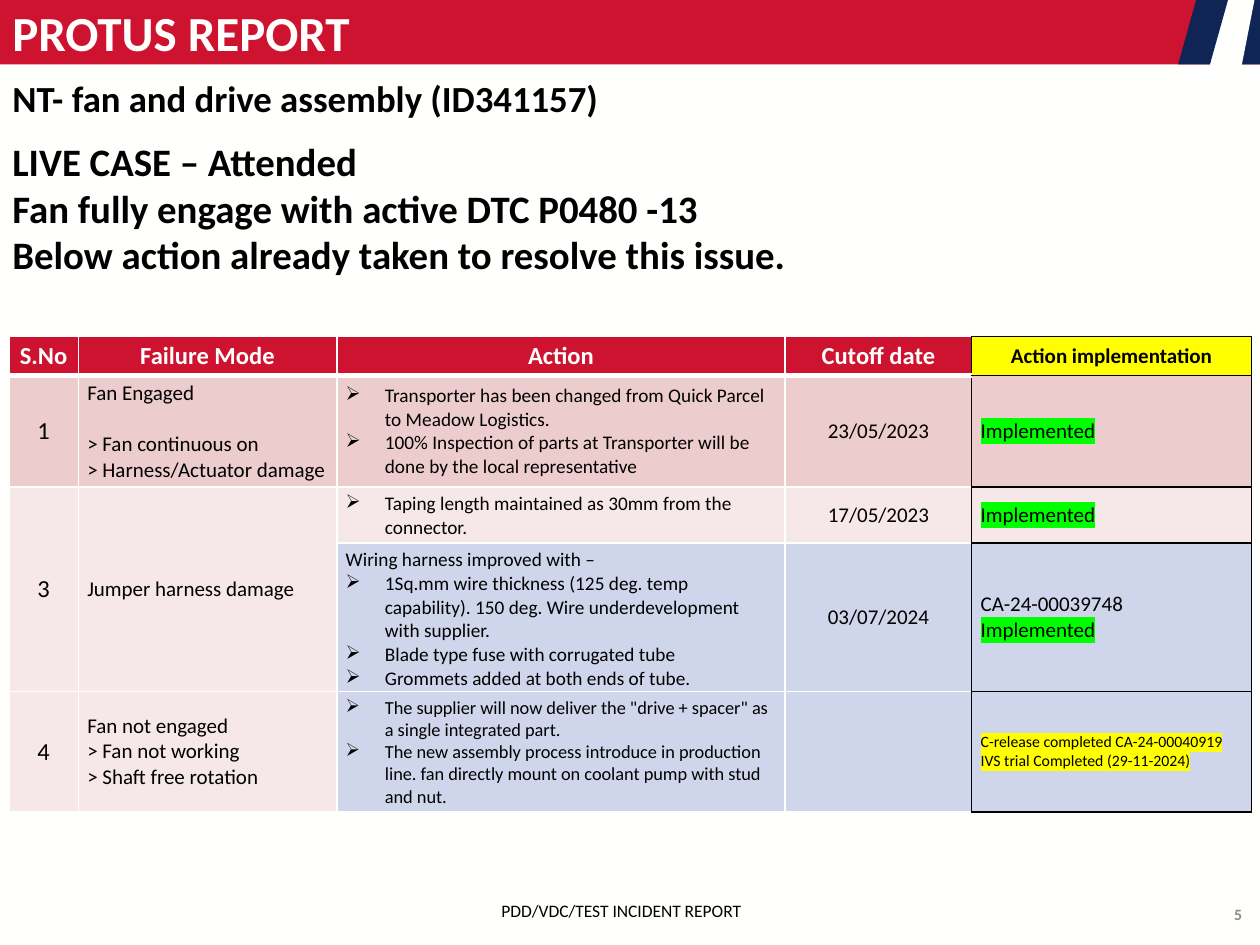
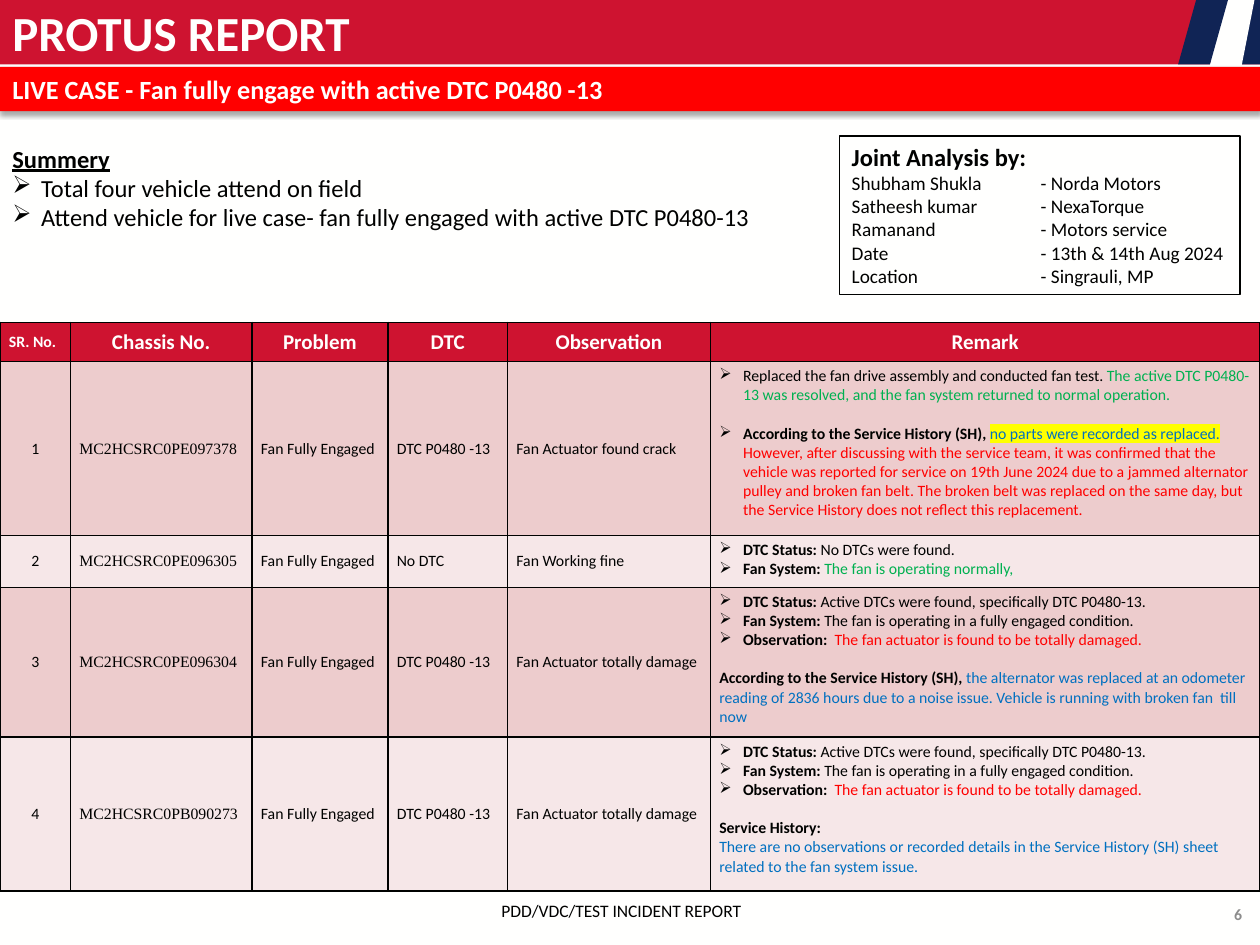
"""Build the two incident report slides."""
from dataclasses import dataclass
from typing import Any

from lxml import etree
from pptx import Presentation
from pptx import util as u
from pptx.dml.color import RGBColor
from pptx.enum import shapes, text
from pptx.oxml import ns

WHITE = RGBColor(0xFF, 0xFF, 0xFE)
BLACK = RGBColor(0x00, 0x01, 0x00)
BRAND = RGBColor(0xCE, 0x13, 0x30)
NAVY = RGBColor(0x10, 0x24, 0x55)
GREY = RGBColor(0x8C, 0x8C, 0x8C)
ROSE = RGBColor(0xED, 0xCC, 0xCD)
BLUSH = RGBColor(0xF6, 0xE7, 0xE8)
ICE = RGBColor(0xCF, 0xD5, 0xEA)
RED = RGBColor(0xFF, 0x00, 0x00)
GREEN = RGBColor(0x00, 0xB0, 0x50)
BLUE = RGBColor(0x00, 0x70, 0xC0)
YELLOW = RGBColor(0xFF, 0xFF, 0x00)
LIME = RGBColor(0x00, 0xFF, 0x00)

BODY = "Calibri"
SERIF = "Times New Roman"
LEFT, MID, RIGHT = text.PP_ALIGN.LEFT, text.PP_ALIGN.CENTER, text.PP_ALIGN.RIGHT
TOP, CENTER, BOTTOM = text.MSO_ANCHOR.TOP, text.MSO_ANCHOR.MIDDLE, text.MSO_ANCHOR.BOTTOM
RECT, SLANT = shapes.MSO_SHAPE.RECTANGLE, shapes.MSO_SHAPE.PARALLELOGRAM


@dataclass
class Run:
    """A piece of text with its own look."""
    text: str
    color: Any = None
    bold: Any = None
    mark: Any = None
    under: bool = False


@dataclass
class Para:
    """A paragraph; indent (cm) adds an arrow bullet, gap is points before."""
    runs: list
    indent: float = 0
    gap: float = 0
    size: Any = None
    tab: float = 0


def add(parent, tag, **attrs):
    """Append a drawing element to a parent."""
    return etree.SubElement(parent, ns.qn(tag), {k: str(v) for k, v in attrs.items()})


def paint(parent, color):
    """Append a solid colour fill."""
    add(add(parent, "a:solidFill"), "a:srgbClr", val=color)


def put(frame, items, size, color=BLACK, bold=False, align=LEFT, font=BODY):
    """Write strings or Para items into a text frame."""
    frame.word_wrap = True
    for i, item in enumerate(items):
        para = Para([Run(item)]) if isinstance(item, str) else item
        line = frame.paragraphs[0] if i == 0 else frame.add_paragraph()
        line.alignment = align
        props = line._p.get_or_add_pPr()
        if para.indent:
            props.set("marL", str(u.Cm(para.indent)))
            props.set("indent", str(-u.Cm(para.indent)))
            add(props, "a:buChar", char="➢")
        if para.tab:
            add(add(props, "a:tabLst"), "a:tab", pos=u.Cm(para.tab), algn="l")
        if para.gap:
            line.space_before = u.Pt(para.gap)
        for part in para.runs:
            run = line.add_run()
            run.text = part.text
            run.font.size = u.Pt(para.size or size)
            run.font.bold = bold if part.bold is None else part.bold
            run.font.color.rgb = part.color or color
            if part.under:
                run.font.underline = True
            if part.mark:
                high = add(run._r.get_or_add_rPr(), "a:highlight")
                add(high, "a:srgbClr", val=part.mark)
            run.font.name = font


def note(slide, place, items, size, anchor=TOP, pad=True, **look):
    """Add a text box at a place in cm."""
    frame = slide.shapes.add_textbox(*map(u.Cm, place)).text_frame
    frame.vertical_anchor = anchor
    if not pad:
        frame.margin_left = frame.margin_right = 0
        frame.margin_top = frame.margin_bottom = 0
    put(frame, items, size, **look)
    return frame


def block(slide, kind, place, fill, edge=None):
    """Add a filled preset shape at a place in cm."""
    shape = slide.shapes.add_shape(kind, *map(u.Cm, place))
    shape.shadow.inherit = False
    shape.fill.solid()
    shape.fill.fore_color.rgb = fill
    if edge:
        shape.line.color.rgb = edge
        shape.line.width = u.Pt(0.75)
    else:
        shape.line.fill.background()
    if kind == SLANT:
        shape.adjustments[0] = 0.37
    return shape


def shade(shape):
    """Give a shape a soft shadow below."""
    effects = shape._element.spPr.find(ns.qn("a:effectLst"))
    cast = add(effects, "a:outerShdw", blurRad=u.Pt(3.1), dist=u.Pt(1.8),
               dir=5400000, rotWithShape=0)
    add(add(cast, "a:srgbClr", val="000000"), "a:alpha", val=35000)


def start(deck, number):
    """Add a slide with the title band, stripes and footer."""
    slide = deck.slides.add_slide(deck.slide_layouts[6])
    slide.background.fill.solid()
    slide.background.fill.fore_color.rgb = WHITE
    note(slide, (24.2, 17.96, 0.84, 0.66), [str(number)], 9, BOTTOM, False,
         color=GREY, bold=True, align=RIGHT)
    band = block(slide, RECT, (0, 0, 25.4, 1.3), BRAND)
    band.text_frame.vertical_anchor = CENTER
    put(band.text_frame, ["PROTUS REPORT"], 28, WHITE, True)
    block(slide, RECT, (24.41, 0, 0.99, 1.3), NAVY)
    block(slide, SLANT, (24.28, -0.05, 1.02, 1.93), WHITE)
    block(slide, SLANT, (23.75, -0.05, 1.02, 1.35), NAVY)
    note(slide, (9.86, 18.01, 5.41, 0.69), ["PDD/VDC/TEST INCIDENT REPORT"], 10)
    return slide


def grid(slide, left, top, cols, rows):
    """Add a plain table with sizes in cm."""
    place = map(u.Cm, (left, top, sum(cols), sum(rows)))
    table = slide.shapes.add_table(len(rows), len(cols), *place).table
    table.first_row = table.horz_banding = False
    for col, width in zip(table.columns, cols):
        col.width = u.Cm(width)
    for row, height in zip(table.rows, rows):
        row.height = u.Cm(height)
    return table


def dress(cell, fill, edges, anchor=CENTER):
    """Set borders (left, right, top, bottom), fill and margins of a cell."""
    props = cell._tc.get_or_add_tcPr()
    for side, (color, width) in zip("LRTB", edges):
        paint(add(props, "a:ln" + side, w=u.Pt(width)), color)
    cell.fill.solid()
    cell.fill.fore_color.rgb = fill
    cell.vertical_anchor = anchor
    cell.margin_left = cell.margin_right = u.Cm(0.18)
    cell.margin_top = cell.margin_bottom = u.Cm(0.1)


def points(*lines, size=None):
    """Make arrow bullets for the action column."""
    return [Para([Run(line)], 0.79, size=size) for line in lines]


def fact(label, value, color=None):
    """Make an arrow bullet with a bold label."""
    return Para([Run(label, bold=True), Run(value, color)], 0.48)


def acts(slide):
    """Add the table of failure modes and actions."""
    done = Para([Run("Implemented", mark=LIME)])
    heads = ["S.No", "Failure Mode", "Action", "Cutoff date", "Action implementation"]
    body = [
        [["1"],
         ["Fan Engaged", Para([Run("> Fan continuous on")], gap=14.6),
          "> Harness/Actuator damage"],
         points("Transporter has been changed from Quick Parcel to Meadow Logistics.",
                "100% Inspection of parts at Transporter will be done by the local representative"),
         ["23/05/2023"], [done]],
        [["3"], ["Jumper harness damage"],
         points("Taping length maintained as 30mm from the connector."),
         ["17/05/2023"], [done]],
        [[], [],
         ["Wiring harness improved with –"] + points(
             "1Sq.mm wire thickness (125 deg. temp capability). 150 deg. Wire "
             "underdevelopment with supplier.",
             "Blade type fuse with corrugated tube",
             "Grommets added at both ends of tube."),
         ["03/07/2024"], ["CA-24-00039748", done]],
        [["4"], ["Fan not engaged", "> Fan not working", "> Shaft free rotation"],
         points('The supplier will now deliver the "drive + spacer" as a single integrated part.',
                "The new assembly process introduce in production line. fan directly "
                "mount on coolant pump with stud and nut.", size=10.5),
         [],
         [Para([Run(line, mark=YELLOW)], size=9) for line in
          ("C-release completed CA-24-00040919", "IVS trial Completed (29-11-2024)")]],
    ]
    fills = [[ROSE] * 5, [BLUSH] * 5, [BLUSH] * 2 + [ICE] * 3, [BLUSH] * 2 + [ICE] * 3]
    sizes = [14, 12, 11, 12, 12]
    sides = [MID, LEFT, LEFT, MID, LEFT]
    table = grid(slide, 0.18, 6.78, [1.4, 5.21, 9.04, 3.76, 5.64],
                 [0.76, 2.22, 1.07, 2.41, 1.73])
    pale, dark = (WHITE, 1), (BLACK, 1)
    for c, head in enumerate(heads):
        last = c == 4
        edges = [dark] * 4 if last else [pale, dark if c == 3 else pale, pale]
        cell = table.cell(0, c)
        dress(cell, YELLOW if last else BRAND, edges if last else edges + [(WHITE, 3)])
        put(cell.text_frame, [head], 12 if last else 14,
            BLACK if last else WHITE, True, MID)
        for r, row in enumerate(body):
            cell = table.cell(r + 1, c)
            dress(cell, fills[r][c], edges if last else edges + [pale])
            put(cell.text_frame, row[c], sizes[c], align=sides[c])
    for c in (0, 1):
        table.cell(2, c).merge(table.cell(3, c))


def checks(slide):
    """Add the table of vehicles checked on site."""
    harm = [fact("DTC Status: ", "Active DTCs were found, specifically DTC P0480-13."),
            fact("Fan System: ", "The fan is operating in a fully engaged condition."),
            fact("Observation:  ", "The fan actuator is found to be totally damaged.", RED)]
    past = Run("According to the Service History (SH), ", bold=True)
    code, wreck = "DTC P0480 -13", "Fan Actuator totally damage"
    heads = ["SR. No.", "Chassis No.", "Problem", "DTC", "Observation", "Remark"]
    body = [
        ("MC2HCSRC0PE097378", code, "Fan Actuator found crack", [
            Para([Run("Replaced the fan drive assembly and conducted fan test. "),
                  Run("The active DTC P0480-13 was resolved, and the fan system "
                      "returned to normal operation.", GREEN)], 0.48),
            Para([past, Run("no parts were recorded as replaced. ", BLUE, mark=YELLOW),
                  Run("However, after discussing with the service team, it was confirmed "
                      "that the vehicle was reported for service on 19th June 2024 due to "
                      "a jammed alternator pulley and broken fan belt. The broken belt was "
                      "replaced on the same day, but the Service History does not reflect "
                      "this replacement.", RED)], 0.48, 11)]),
        ("MC2HCSRC0PE096305", "No DTC", "Fan Working fine", [
            fact("DTC Status:", " No DTCs were found."),
            fact("Fan System: ", "The fan is operating normally,", GREEN)]),
        ("MC2HCSRC0PE096304", code, wreck, harm + [
            Para([past, Run("the alternator was replaced at an odometer reading of 2836 "
                            "hours due to a noise issue. Vehicle is running with broken "
                            "fan  till now", BLUE)], gap=11)]),
        ("MC2HCSRC0PB090273", code, wreck, harm + [
            Para([Run("Service History:", bold=True)], gap=11),
            Para([Run("There are no observations or recorded details in the Service "
                      "History (SH) sheet related to the fan system issue.", BLUE)])]),
    ]
    table = grid(slide, 0, 6.5, [1.42, 3.66, 2.74, 2.41, 4.09, 11.08],
                 [0.79, 3.51, 1.04, 3.02, 3.1])
    edges = [(BLACK, 1)] * 4
    for c, head in enumerate(heads):
        cell = table.cell(0, c)
        dress(cell, BRAND, edges)
        put(cell.text_frame, [head], 12 if c else 9, WHITE, True, MID if c else LEFT)
    for r, (chassis, dtc, seen, remark) in enumerate(body, 1):
        row = [[str(r)], [chassis], ["Fan Fully Engaged"], [dtc], [seen], remark]
        for c, items in enumerate(row):
            cell = table.cell(r, c)
            dress(cell, ROSE if r % 2 else BLUSH, edges, TOP if c == 5 else CENTER)
            put(cell.text_frame, items, 9, align=LEFT if c else MID,
                font=SERIF if c == 1 else BODY)


def team(slide):
    """Add the framed list of people, date and place."""
    pairs = [("Shubham Shukla", "Norda Motors"), ("Satheesh kumar", "NexaTorque"),
             ("Ramanand", "Motors service"), ("Date", "13th & 14th Aug 2024"),
             ("Location", "Singrauli, MP")]
    frame = block(slide, RECT, (16.92, 2.74, 8.08, 3.2), WHITE, BLACK).text_frame
    frame.vertical_anchor = TOP
    title = Para([Run("Joint Analysis by:", bold=True)], size=14)
    put(frame, [title] + [Para([Run(f"{who}\t- {what}")], tab=3.81)
                          for who, what in pairs], 11)


def main():
    """Build and save the deck."""
    deck = Presentation()
    deck.slide_width, deck.slide_height = u.Cm(25.4), u.Cm(19.05)

    slide = start(deck, 5)
    acts(slide)
    part = note(slide, (0, 1.5, 22.86, 1.07),
                ["NT- fan and drive assembly (ID341157)"], 21, bold=True)
    part.paragraphs[0].line_spacing = 0.9
    note(slide, (0, 3.1, 22.25, 2.62),
         ["LIVE CASE – Attended", "Fan fully engage with active DTC P0480 -13",
          "Below action already taken to resolve this issue."], 22.2, BOTTOM, bold=True)

    slide = start(deck, 6)
    shade(block(slide, RECT, (0, 1.35, 25.4, 0.89), RED))
    note(slide, (0, 1.35, 18.06, 0.89),
         ["LIVE CASE - Fan fully engage with active DTC P0480 -13"], 15,
         color=WHITE, bold=True)
    checks(slide)
    note(slide, (0, 2.77, 16.92, 2.06),
         [Para([Run("Summery", bold=True, under=True)]),
          Para([Run("Total four vehicle attend on field")], 0.58),
          Para([Run("Attend vehicle for live case- fan fully engaged with active "
                    "DTC P0480-13")], 0.58)], 14)
    team(slide)
    deck.save("out.pptx")


if __name__ == "__main__":
    main()
